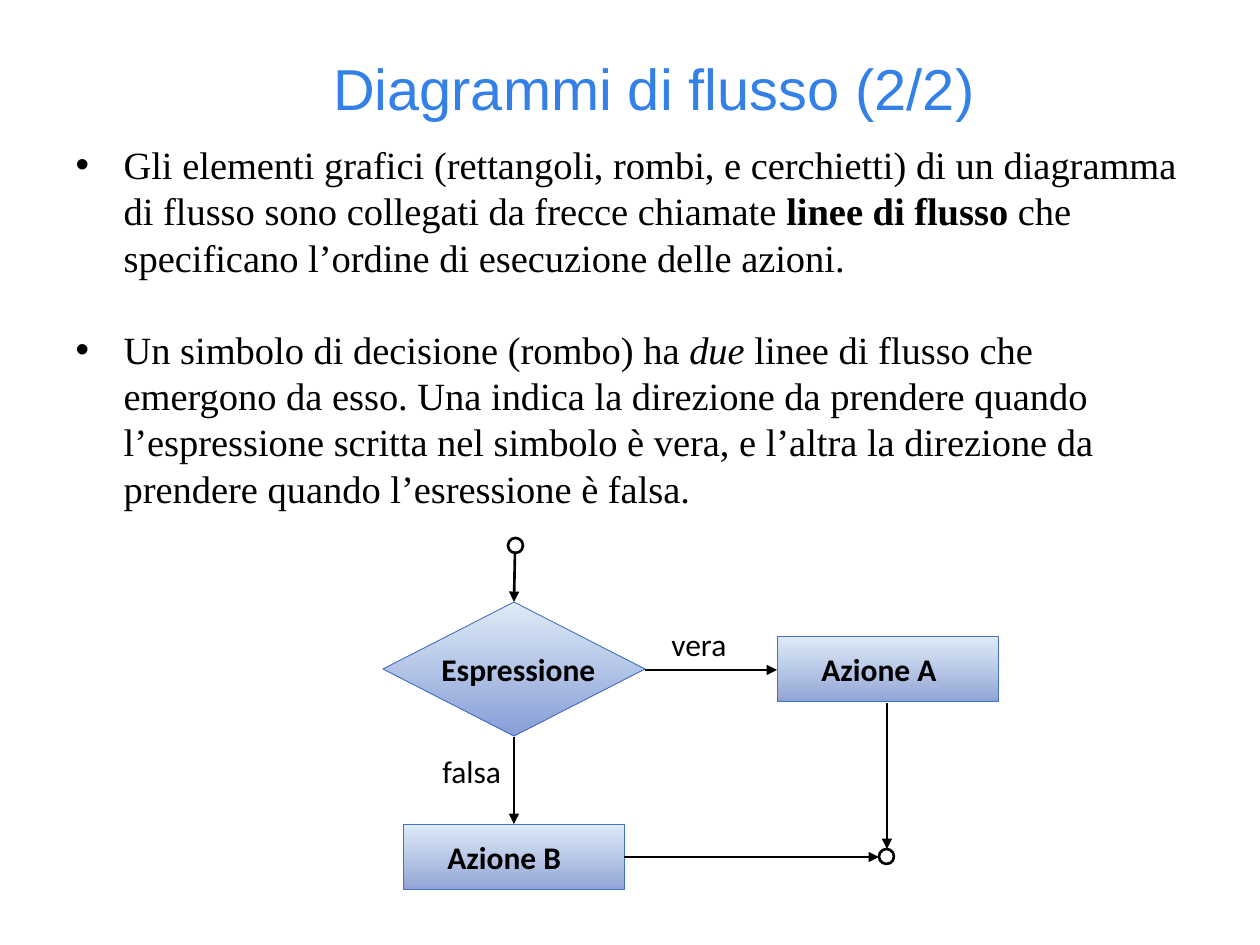
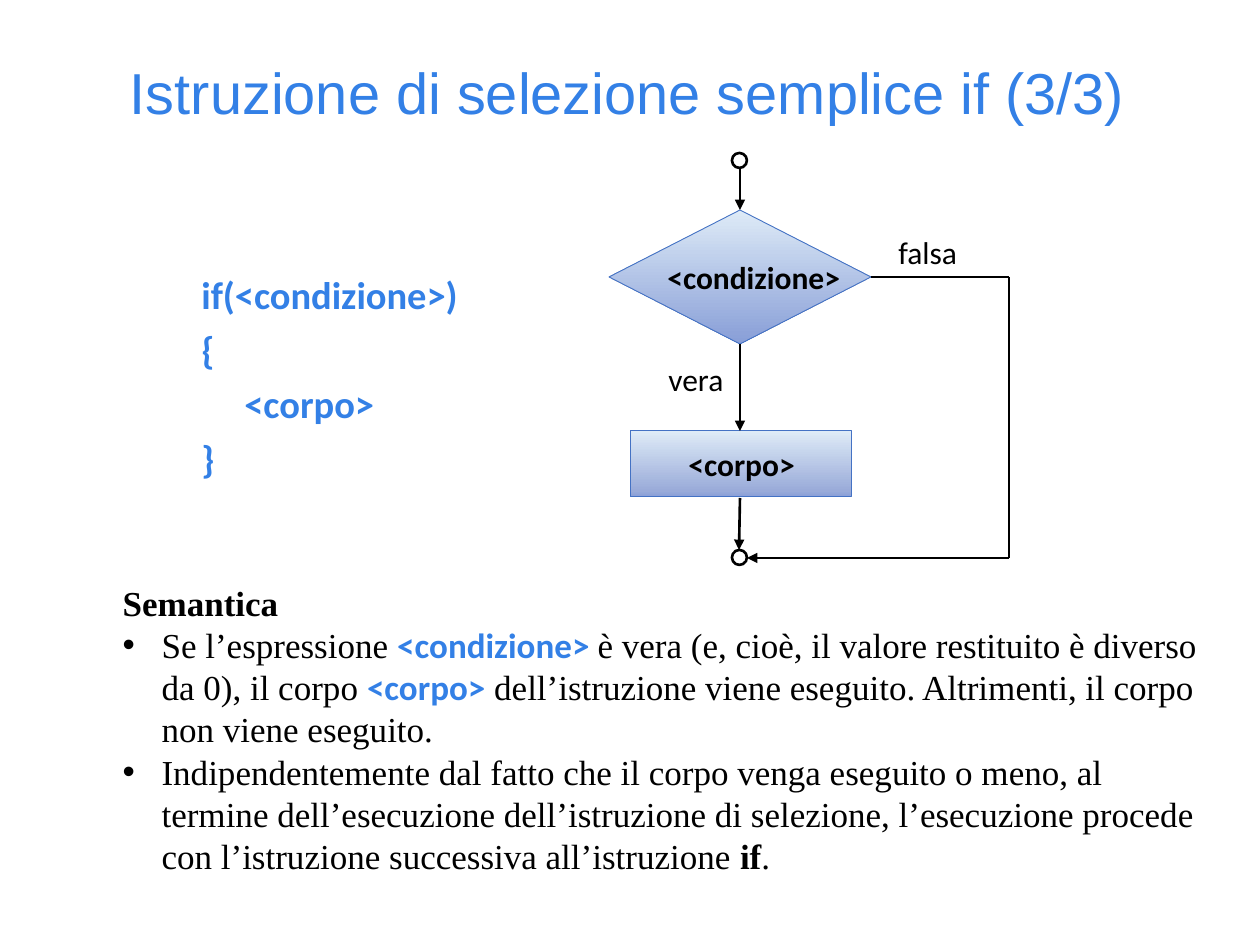
"""Builds two slides on flow charts and the simple if statement."""
import copy

import lxml.etree
import pptx
import pptx.dml.color
import pptx.enum.shapes
import pptx.enum.text
import pptx.oxml.ns
import pptx.util

EMU_PER_PIXEL = 914400 / 126
SHAPES = pptx.enum.shapes.MSO_SHAPE
BLACK, BLUE, OUTLINE = "000000", "3380E6", "4472C4"
LIGHT, MIDDLE, DARK = "DEEBF7", "9AABD9", "889ED7"
SERIF, SANS, TITLE_FONT = "Times New Roman", "Calibri", "Arial"

# Text styles: font, colour, bold, italic
PLAIN = (SERIF, BLACK, False, False)
BOLD = (SERIF, BLACK, True, False)
ITALIC = (SERIF, BLACK, False, True)
CODE = (SANS, BLUE, True, False)
NAME = (SANS, BLACK, True, False)
BRANCH = (SANS, BLACK, False, False)
TITLE = (TITLE_FONT, BLUE, False, False)


def px(length):
    """Turn whole pixels into EMU."""
    return pptx.util.Emu(round(length * EMU_PER_PIXEL))


def color(value):
    """Turn a hex string into a colour."""
    return pptx.dml.color.RGBColor.from_string(value)


def place(shape, left, top, width, height):
    """Move and size a shape, in pixels."""
    shape.left, shape.top = px(left), px(top)
    shape.width, shape.height = px(width), px(height)


def add_span(para, text, style, size):
    """Add one run in a given style."""
    span = para.add_run()
    span.text = text
    span.font.size = pptx.util.Pt(size)
    span.font.name, span.font.bold, span.font.italic = style[0], style[2], style[3]
    span.font.color.rgb = color(style[1])


def indent(para, margin, first=0):
    """Set the left margin and the first line indent of a paragraph."""
    properties = para._p.get_or_add_pPr()
    properties.set("marL", str(px(margin)))
    properties.set("indent", str(px(first)))
    return properties


def add_title(slide, text, left, top, width):
    """Fill the title placeholder."""
    title = slide.shapes.title
    place(title, left, top, width, 86)
    frame = title.text_frame
    frame.auto_size = pptx.enum.text.MSO_AUTO_SIZE.NONE
    frame.vertical_anchor = pptx.enum.text.MSO_ANCHOR.MIDDLE
    para = frame.paragraphs[0]
    para.alignment = pptx.enum.text.PP_ALIGN.CENTER
    para.line_spacing = 0.9
    add_span(para, text, TITLE, 33)


def add_body(slide, area, paragraphs, size, pitch, hang, gap=0):
    """Fill the body placeholder from (has bullet, spans) pairs."""
    body = slide.placeholders[1]
    place(body, *area)
    frame = body.text_frame
    frame.auto_size = pptx.enum.text.MSO_AUTO_SIZE.NONE
    frame.vertical_anchor = pptx.enum.text.MSO_ANCHOR.TOP
    for number, (has_bullet, spans) in enumerate(paragraphs):
        para = frame.add_paragraph() if number else frame.paragraphs[0]
        if has_bullet:
            indent(para, hang, -hang)
        else:
            lxml.etree.SubElement(indent(para, 0), pptx.oxml.ns.qn("a:buNone"))
        para.line_spacing = pptx.util.Pt(pitch)
        para.space_before = pptx.util.Pt(gap if number else 0)
        para.space_after = pptx.util.Pt(0)
        for text, style in spans:
            add_span(para, text, style, size)


def add_text(slide, area, text, style, margin=0):
    """Add a one-line label of the flow chart."""
    box = slide.shapes.add_textbox(*map(px, area))
    box.text_frame.word_wrap = True
    para = box.text_frame.paragraphs[0]
    indent(para, margin)
    add_span(para, text, style, 18)


def add_code(slide, area, lines):
    """Add lines of code, each given as (text, margin)."""
    box = slide.shapes.add_textbox(*map(px, area))
    frame = box.text_frame
    frame.word_wrap = True
    for number, (text, margin) in enumerate(lines):
        para = frame.add_paragraph() if number else frame.paragraphs[0]
        indent(para, margin)
        para.line_spacing = 0.9
        para.space_after = pptx.util.Pt(7.5)
        add_span(para, text, CODE, 22)


def add_block(slide, kind, area, middle=None):
    """Add a symbol filled with a gradient from light to dark."""
    block = slide.shapes.add_shape(kind, *map(px, area))
    block.shadow.inherit = False
    block.line.color.rgb = color(OUTLINE)
    block.line.width = pptx.util.Pt(0.5)
    block.fill.gradient()
    block.fill.gradient_angle = 270
    for stop, value, position in zip(block.fill.gradient_stops, (LIGHT, DARK), (0, 1)):
        stop.color.rgb = color(value)
        stop.position = position
    if middle:
        last = block._element.spPr.findall(".//" + pptx.oxml.ns.qn("a:gs"))[-1]
        last.addprevious(copy.deepcopy(last))
        stop = block.fill.gradient_stops[1]
        stop.color.rgb = color(middle)
        stop.position = 0.91


def add_decision(slide, left, top, text):
    """Add a decision diamond with its expression."""
    add_block(slide, SHAPES.FLOWCHART_DECISION, (left, top, 262, 134))
    add_text(slide, (left + 32, top + 42, 214, 50), text, NAME, margin=14)


def add_process(slide, left, top, text, margin=0):
    """Add an action rectangle with its name."""
    add_block(slide, SHAPES.FLOWCHART_PROCESS, (left, top, 221, 66), MIDDLE)
    add_text(slide, (left + 32, top + 8, 147, 50), text, NAME, margin)


def add_node(slide, left, top):
    """Add a small circle where the flow starts or ends."""
    node = slide.shapes.add_shape(SHAPES.FLOWCHART_CONNECTOR, *map(px, (left, top, 15, 15)))
    node.shadow.inherit = False
    node.fill.background()
    node.line.color.rgb = color(BLACK)
    node.line.width = pptx.util.Pt(1.5)


def add_flow(slide, start, end, arrow=True):
    """Add a flow line, with an arrowhead at its end if wanted."""
    line = slide.shapes.add_connector(
        pptx.enum.shapes.MSO_CONNECTOR.STRAIGHT, *map(px, start + end))
    line.line.color.rgb = color(BLACK)
    line.line.width = pptx.util.Pt(1.5)
    if arrow:
        head = lxml.etree.SubElement(line.line._get_or_add_ln(), pptx.oxml.ns.qn("a:tailEnd"))
        head.set("type", "triangle")
    lxml.etree.SubElement(line._element.spPr, pptx.oxml.ns.qn("a:effectLst"))


def build_flow_lines(slide):
    """Explain flow lines, with a two-way decision."""
    add_title(slide, "Diagrammi di flusso (2/2)", 71, 49, 1166)
    add_body(slide, (63, 135, 1134, 382), [
        (True, [
            ("Gli elementi grafici (rettangoli, rombi, e cerchietti) di un diagramma "
             "di flusso sono collegati da frecce chiamate ", PLAIN),
            ("linee di flusso ", BOLD),
            ("che specificano l’ordine di esecuzione delle azioni.", PLAIN)]),
        (True, [
            ("Un simbolo di decisione (rombo) ha ", PLAIN),
            ("due ", ITALIC),
            ("linee di flusso che emergono da esso. Una indica la direzione da prendere "
             "quando l’espressione scritta nel simbolo è vera, e l’altra la direzione da "
             "prendere quando l’esressione è falsa.", PLAIN)]),
    ], size=22, pitch=26.4, hang=48, gap=26.4)

    add_decision(slide, 383, 602, "Espressione")
    add_process(slide, 777, 636, "Azione A")
    add_process(slide, 403, 824, "Azione B")
    add_node(slide, 508, 538)
    add_node(slide, 879, 849)
    for start, end in [
        ((515, 552), (514, 602)),
        ((514, 737), (514, 824)),
        ((645, 670), (777, 670)),
        ((624, 857), (879, 857)),
        ((887, 703), (887, 849)),
    ]:
        add_flow(slide, start, end)
    add_text(slide, (659, 619, 85, 50), "vera", BRANCH)
    add_text(slide, (430, 746, 121, 50), "falsa", BRANCH)


def build_simple_if(slide):
    """Show the syntax, flow chart and meaning of the simple if."""
    add_title(slide, "Istruzione di selezione semplice if (3/3)", 29, 53, 1197)
    add_code(slide, (189, 270, 304, 253), [
        ("if(<condizione>)", 0), ("{", 0), ("<corpo>", 43), ("}", 0)])
    add_body(slide, (110, 575, 1105, 310), [
        (False, [("Semantica", BOLD)]),
        (True, [
            ("Se l’espressione ", PLAIN),
            ("<condizione> ", CODE),
            ("è vera (e, cioè, il valore restituito è diverso da 0), il corpo ", PLAIN),
            ("<corpo>", CODE),
            (" dell’istruzione viene eseguito. Altrimenti, il corpo non viene eseguito.",
             PLAIN)]),
        (True, [
            ("Indipendentemente dal fatto che il corpo venga eseguito o meno, al termine "
             "dell’esecuzione dell’istruzione di selezione, l’esecuzione procede con "
             "l’istruzione successiva all’istruzione ", PLAIN),
            ("if", BOLD),
            (".", PLAIN)]),
    ], size=20, pitch=24.1, hang=39)

    add_decision(slide, 609, 210, "<condizione>")
    add_process(slide, 630, 431, "<corpo>", margin=14)
    add_node(slide, 732, 153)
    add_node(slide, 732, 550)
    for start, end, arrow in [
        ((740, 168), (740, 210), True),
        ((740, 344), (740, 431), True),
        ((740, 498), (739, 550), True),
        ((871, 277), (1009, 277), False),
        ((1009, 277), (1009, 558), False),
        ((1009, 558), (747, 558), True),
    ]:
        add_flow(slide, start, end, arrow)
    add_text(slide, (886, 227, 90, 50), "falsa", BRANCH)
    add_text(slide, (656, 354, 121, 50), "vera", BRANCH)


def main():
    """Build and save the deck."""
    deck = pptx.Presentation()
    deck.slide_width, deck.slide_height = px(1260), px(945)
    for build in (build_flow_lines, build_simple_if):
        build(deck.slides.add_slide(deck.slide_layouts[1]))
    deck.save("out.pptx")


main()
